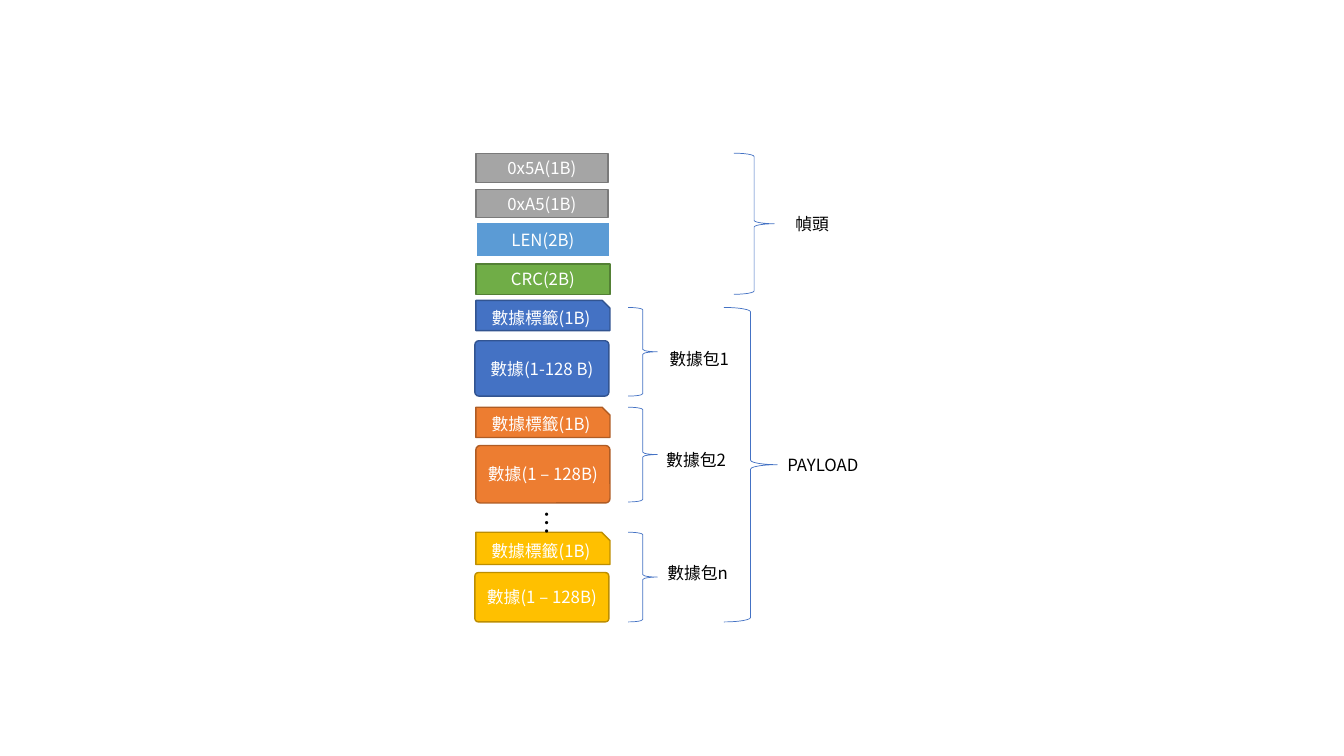
from lxml import etree
from pptx import Presentation
from pptx.dml.color import RGBColor
from pptx.enum import shapes, text
from pptx.oxml.ns import qn
from pptx.util import Inches, Pt

FONT = "Noto Sans CJK SC"
WHITE = RGBColor(0xFF, 0xFF, 0xFF)
BLACK = RGBColor(0x00, 0x00, 0x00)
GRAY = RGBColor(0xA5, 0xA5, 0xA5)
GRAY_EDGE = RGBColor(0x7A, 0x7A, 0x7A)
SKY = RGBColor(0x5B, 0x9B, 0xD5)
GREEN = RGBColor(0x70, 0xAD, 0x47)
GREEN_EDGE = RGBColor(0x53, 0x80, 0x35)
BLUE = RGBColor(0x44, 0x72, 0xC4)
BLUE_EDGE = RGBColor(0x32, 0x54, 0x91)
ORANGE = RGBColor(0xED, 0x7D, 0x31)
ORANGE_EDGE = RGBColor(0xAF, 0x5C, 0x24)
GOLD = RGBColor(0xFF, 0xC0, 0x00)
GOLD_EDGE = RGBColor(0xBD, 0x8E, 0x00)

KIND = shapes.MSO_SHAPE
COLUMN_LEFT = 4.72
FIELD_WIDTH = 1.33
LABEL_HEIGHT = 0.3

HEADER_FIELDS = [
    ("0x5A(1B)", 1.52, 1.31, 0.29, GRAY, GRAY_EDGE, 1),
    ("0xA5(1B)", 1.88, 1.31, 0.28, GRAY, GRAY_EDGE, 1),
    ("LEN(2B)", 2.2, FIELD_WIDTH, 0.35, SKY, WHITE, 1.5),
    ("CRC(2B)", 2.62, FIELD_WIDTH, 0.3, GREEN, GREEN_EDGE, 1),
]

PACKETS = [
    {"name": "數據包1", "data": "數據(1-128 B)", "fill": BLUE, "edge": BLUE_EDGE,
     "tag_at": (COLUMN_LEFT, 2.98, FIELD_WIDTH, 0.3),
     "data_at": (4.71, 3.38, FIELD_WIDTH, 0.55),
     "brace_at": (6.23, 3.05, 0.29, 0.88), "label_at": (6.54, 3.41)},
    {"name": "數據包2", "data": "數據(1 – 128B)", "fill": ORANGE, "edge": ORANGE_EDGE,
     "tag_at": (COLUMN_LEFT, 4.04, FIELD_WIDTH, 0.3),
     "data_at": (COLUMN_LEFT, 4.42, FIELD_WIDTH, 0.57),
     "brace_at": (6.23, 4.04, 0.29, 0.94), "label_at": (6.51, 4.41)},
    {"name": "數據包n", "data": "數據(1 – 128B)", "fill": GOLD, "edge": GOLD_EDGE,
     "tag_at": (COLUMN_LEFT, 5.28, FIELD_WIDTH, 0.32),
     "data_at": (4.71, 5.68, FIELD_WIDTH, 0.49),
     "brace_at": (6.23, 5.28, 0.29, 0.89), "label_at": (6.52, 5.53)},
]


def apply(target, values):
    """Set every attribute named in values on the target."""
    for name, value in values.items():
        setattr(target, name, value)


def write(box, words, color, size=12):
    """Put one formatted run of text into a box."""
    box.text_frame.word_wrap = True
    para = box.text_frame.paragraphs[0]
    span = para.add_run()
    span.text = words
    apply(span.font, {"name": FONT, "size": Pt(size)})
    span.font.color.rgb = color
    east_asian = etree.SubElement(span.font._element, qn("a:ea"))
    east_asian.set("typeface", FONT)
    return para


def add_outlined(page, kind, place, edge, weight):
    """Add a shadowless preset shape with a coloured outline."""
    shape = page.shapes.add_shape(kind, *map(Inches, place))
    shape.shadow.inherit = False
    shape.line.color.rgb = edge
    shape.line.width = Pt(weight)
    return shape


def add_field(page, kind, place, words, fill, edge, weight=1, corner=None):
    """Add a filled frame field with centred white text."""
    field = add_outlined(page, kind, place, edge, weight)
    field.fill.solid()
    field.fill.fore_color.rgb = fill
    if corner is not None:
        field.adjustments[0] = corner
    field.text_frame.vertical_anchor = text.MSO_ANCHOR.MIDDLE
    write(field, words, WHITE).alignment = text.PP_ALIGN.CENTER


def add_brace(page, place):
    """Add a thin blue right brace."""
    add_outlined(page, KIND.RIGHT_BRACE, place, BLUE, 0.5).fill.background()


def add_label(page, place, words, size=12, rotation=0):
    """Add a black text label."""
    label = page.shapes.add_textbox(*map(Inches, place))
    label.rotation = rotation
    label.text_frame.auto_size = text.MSO_AUTO_SIZE.SHAPE_TO_FIT_TEXT
    write(label, words, BLACK, size)


def add_packet(page, packet):
    """Add a packet's data, tag, brace and name."""
    colors = packet["fill"], packet["edge"]
    add_field(page, KIND.ROUNDED_RECTANGLE, packet["data_at"], packet["data"],
              *colors, corner=0.074)
    add_field(page, KIND.SNIP_1_RECTANGLE, packet["tag_at"], "數據標籤(1B)",
              *colors, corner=0.258)
    add_brace(page, packet["brace_at"])
    add_label(page, (*packet["label_at"], 1.14, LABEL_HEIGHT), packet["name"])


def main():
    """Build the frame layout slide and save it."""
    deck = Presentation()
    apply(deck, {"slide_width": Inches(13.33), "slide_height": Inches(7.5)})
    page = deck.slides.add_slide(deck.slide_layouts[6])

    for packet in PACKETS:
        add_packet(page, packet)
    add_label(page, (5.22, 4.97, 0.41, 0.4), "…", size=18, rotation=90)
    add_brace(page, (7.18, 3.05, 0.53, 3.12))
    add_label(page, (7.71, 4.46, 1.02, LABEL_HEIGHT), "PAYLOAD")

    for words, top, width, height, fill, edge, weight in HEADER_FIELDS:
        add_field(page, KIND.RECTANGLE, (COLUMN_LEFT, top, width, height),
                  words, fill, edge, weight)
    add_brace(page, (7.28, 1.52, 0.4, 1.4))
    add_label(page, (7.79, 2.07, 0.69, LABEL_HEIGHT), "幀頭")

    deck.save("out.pptx")


main()
